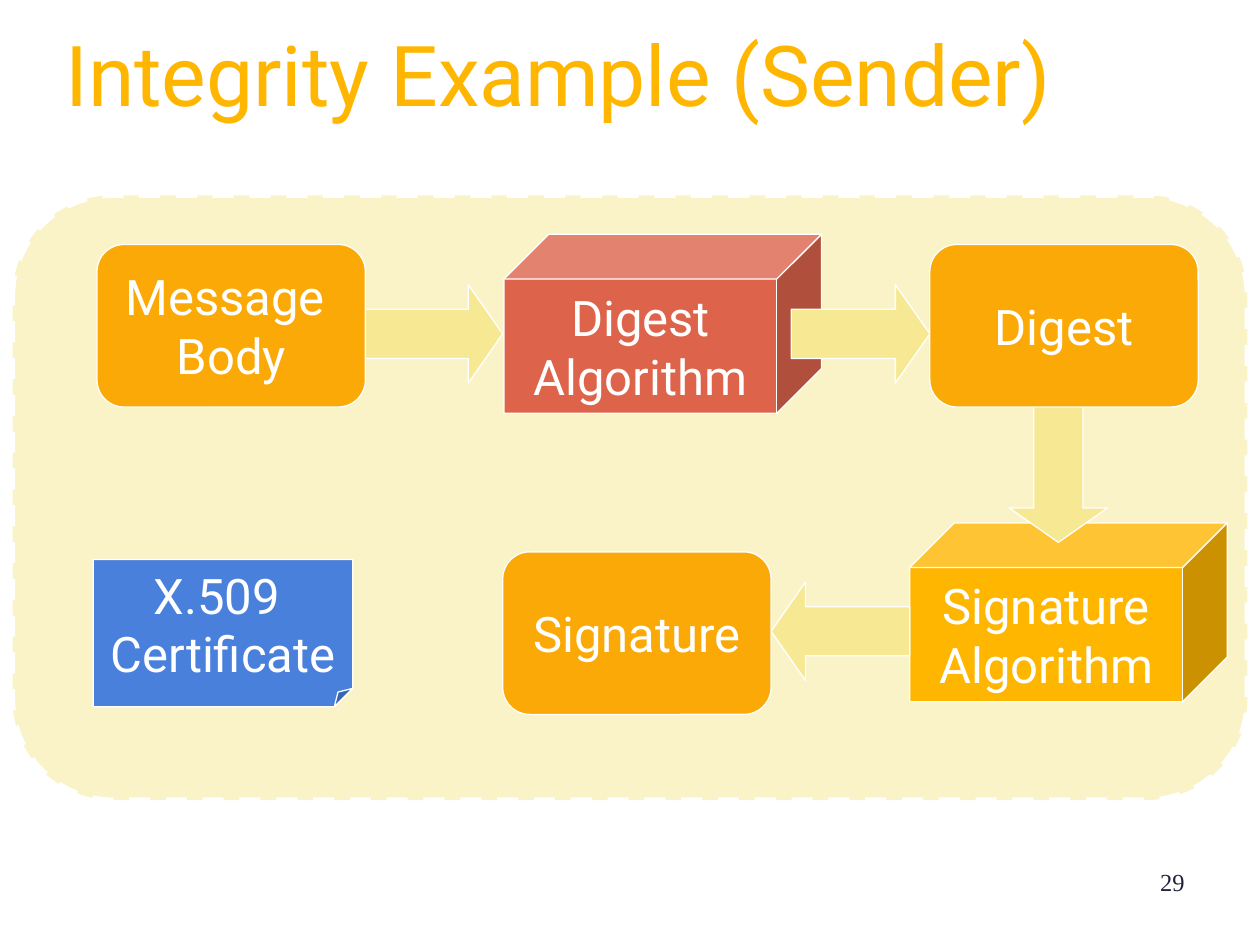
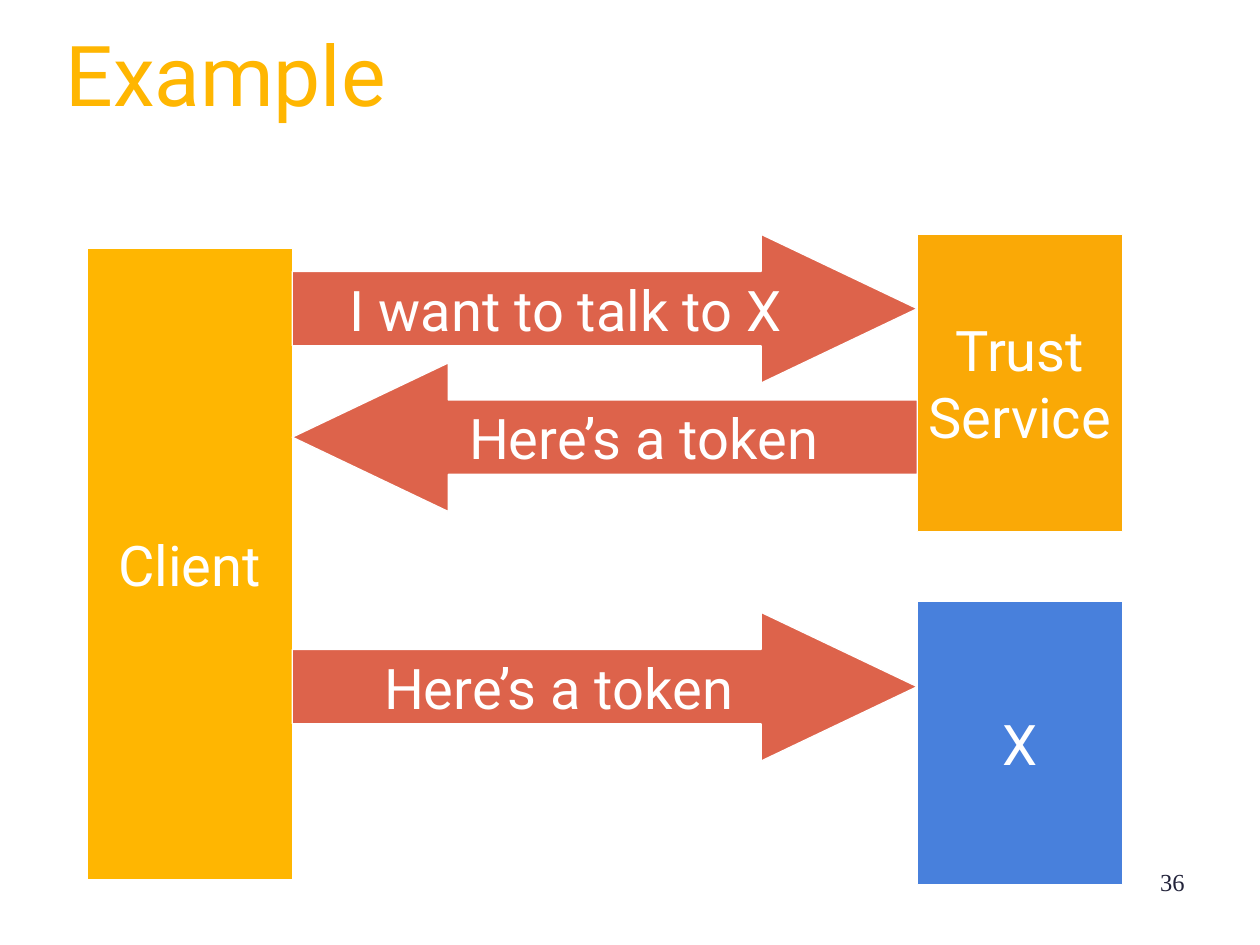
from dataclasses import dataclass

import pptx
import pptx.dml.color
import pptx.enum.dml
import pptx.enum.shapes
import pptx.enum.text
import pptx.oxml
import pptx.oxml.ns
import pptx.util

SHAPE = pptx.enum.shapes.MSO_SHAPE
ANCHOR = pptx.enum.text.MSO_ANCHOR
ALIGN = pptx.enum.text.PP_ALIGN
FIT = pptx.enum.text.MSO_AUTO_SIZE
SLIDE_WIDTH, SLIDE_HEIGHT = pptx.util.Inches(10), pptx.util.Inches(7.5)
COLUMNS, ROWS = 100, 75


@dataclass(frozen=True)
class Theme:
    yellow: str = "FFB601"
    orange: str = "FAA906"
    red: str = "DD634B"
    blue: str = "4880DC"
    pale: str = "F7E993"
    white: str = "FFFFFF"
    ink: str = "22233A"
    font: str = "Roboto"
    number_font: str = "Times New Roman"
    title_size: int = 48
    flow_size: int = 28
    exchange_size: int = 32
    number_size: int = 14
    outline: float = 0.75
    panel_outline: float = 3


THEME = Theme()


@dataclass(frozen=True)
class Box:
    """An area in columns and rows of the slide grid."""
    left: float
    top: float
    width: float
    height: float

    def inside(self, left, top, width, height):
        return Box(self.left + left, self.top + top, width, height)

    def lengths(self):
        column, row = SLIDE_WIDTH / COLUMNS, SLIDE_HEIGHT / ROWS
        return (round(self.left * column), round(self.top * row),
                round(self.width * column), round(self.height * row))


TITLE = Box(4.2, 2.5, 91.8, 7.8)
NUMBER = Box(71.7, 68.3, 23.3, 5.2)
FLOW = Box(1, 15.5, 98, 48)
EXCHANGE = Box(6.9, 18.6, 82.2, 51.6)


def rgb(color):
    return pptx.dml.color.RGBColor.from_string(color)


def drawing(tag, inner=""):
    return pptx.oxml.parse_xml(
        f'<a:{tag} {pptx.oxml.ns.nsdecls("a")}>{inner}</a:{tag}>')


def write(frame, lines, size, color, font=THEME.font, align=ALIGN.CENTER):
    """Fill a text frame with one paragraph for each line."""
    for index, line in enumerate(lines):
        para = frame.paragraphs[0] if index == 0 else frame.add_paragraph()
        para.alignment = align
        span = para.add_run()
        span.text = line
        span.font.size = pptx.util.Pt(size)
        span.font.color.rgb = rgb(color)
        span.font.name = font


def set_guides(block, **guides):
    """Set the named adjustments of a preset shape, as shares."""
    geometry = block._element.spPr.find(pptx.oxml.ns.qn("a:prstGeom"))
    for child in list(geometry):
        geometry.remove(child)
    geometry.append(drawing("avLst", "".join(
        f'<a:gd name="{name}" fmla="val {round(share * 100000)}"/>'
        for name, share in guides.items())))


def add_block(page, kind, box, fill, lines=(), size=THEME.flow_size,
              wrap=False):
    """Draw a filled shape with a white outline and centred text."""
    block = page.shapes.add_shape(kind, *box.lengths())
    block.shadow.inherit = False
    block.fill.solid()
    block.fill.fore_color.rgb = rgb(fill)
    block.line.color.rgb = rgb(THEME.white)
    block.line.width = pptx.util.Pt(THEME.outline)
    block.text_frame.word_wrap = wrap
    block.text_frame.vertical_anchor = ANCHOR.MIDDLE
    write(block.text_frame, lines, size, THEME.white)
    return block


def add_text(page, box):
    frame = page.shapes.add_textbox(*box.lengths()).text_frame
    frame.word_wrap = True
    return frame


def add_page(deck, title, number):
    """Start a slide with its shadowed title and its number."""
    page = deck.slides.add_slide(deck.slide_layouts[6])
    frame = add_text(page, TITLE)
    frame.auto_size = FIT.SHAPE_TO_FIT_TEXT
    write(frame, [title], THEME.title_size, THEME.yellow, align=ALIGN.LEFT)
    para = frame.paragraphs[0]
    para.line_spacing = 0.85
    shadow = drawing("effectLst", '<a:outerShdw dist="35921" dir="2700000">'
                     '<a:srgbClr val="000000"/></a:outerShdw>')
    properties = para.runs[0]._r.get_or_add_rPr()
    properties.find(pptx.oxml.ns.qn("a:solidFill")).addnext(shadow)
    write(add_text(page, NUMBER), [str(number)], THEME.number_size,
          THEME.ink, THEME.number_font, ALIGN.RIGHT)
    return page


def add_panel(page, box):
    """Draw the half transparent panel with a dashed edge."""
    panel = add_block(page, SHAPE.ROUNDED_RECTANGLE, box, THEME.pale)
    panel.line.width = pptx.util.Pt(THEME.panel_outline)
    panel.line.dash_style = pptx.enum.dml.MSO_LINE.DASH
    fill = panel._element.spPr.find(pptx.oxml.ns.qn("a:solidFill"))
    alpha = drawing("alpha")
    alpha.set("val", "50000")
    fill[0].append(alpha)


def draw_flow(page, area):
    add_panel(page, area)

    # Algorithms
    for left, top, fill, lines, wrap in (
            (39, 3.1, THEME.red, ["Digest", "Algorithm"], True),
            (71.2, 26, THEME.yellow, ["Signature", "Algorithm"], False)):
        add_block(page, SHAPE.CUBE, area.inside(left, top, 25.2, 14.2),
                  fill, lines, wrap=wrap)

    # Steps, each arrow placed by its left top corner
    length, breadth = 11, 7.8
    for kind, left, top in ((SHAPE.RIGHT_ARROW, 27.9, 7.1),
                            (SHAPE.RIGHT_ARROW, 61.8, 7.1),
                            (SHAPE.DOWN_ARROW, 79.1, 16.55),
                            (SHAPE.LEFT_ARROW, 60.2, 30.7)):
        size = ((breadth, length) if kind == SHAPE.DOWN_ARROW
                else (length, breadth))
        arrow = add_block(page, kind, area.inside(left, top, *size),
                          THEME.pale)
        set_guides(arrow, adj1=0.5, adj2=0.35)

    # Data
    for left, top, lines in ((6.7, 3.9, ["Message ", "Body"]),
                             (72.8, 3.9, ["Digest"]),
                             (38.9, 28.3, ["Signature"])):
        add_block(page, SHAPE.ROUNDED_RECTANGLE,
                  area.inside(left, top, 21.3, 12.9), THEME.orange, lines)
    certificate = add_block(page, SHAPE.FOLDED_CORNER,
                            area.inside(6.4, 28.9, 20.6, 11.7), THEME.blue,
                            ["X.509 ", "Certificate"])
    set_guides(certificate, adj=0.125)


def draw_exchange(page, area):
    # Parties: the client on the left, the services on the right
    party_width = 16.3
    right = area.width - party_width
    for left, top, height, fill, lines in (
            (0, 1.1, 50.1, THEME.yellow, ["Client"]),
            (right, 0, 23.6, THEME.orange, ["Trust", "Service"]),
            (right, 29.1, 22.5, THEME.blue, ["X"])):
        add_block(page, SHAPE.RECTANGLE,
                  area.inside(left, top, party_width, height), fill, lines,
                  THEME.exchange_size)

    # Messages fill the gap between the parties
    for kind, top, words in (
            (SHAPE.RIGHT_ARROW, 0, "I want to talk to X"),
            (SHAPE.LEFT_ARROW, 10.2, "Here’s a token"),
            (SHAPE.RIGHT_ARROW, 30, "Here’s a token ")):
        arrow = add_block(
            page, kind,
            area.inside(party_width, top, right - party_width, 11.8),
            THEME.red, [words], THEME.exchange_size)
        set_guides(arrow, adj1=0.5, adj2=1.05)


def main():
    deck = pptx.Presentation()
    deck.slide_width, deck.slide_height = SLIDE_WIDTH, SLIDE_HEIGHT
    draw_flow(add_page(deck, "Integrity Example (Sender)", 29), FLOW)
    draw_exchange(add_page(deck, "Example", 36), EXCHANGE)
    deck.save("out.pptx")


if __name__ == "__main__":
    main()
